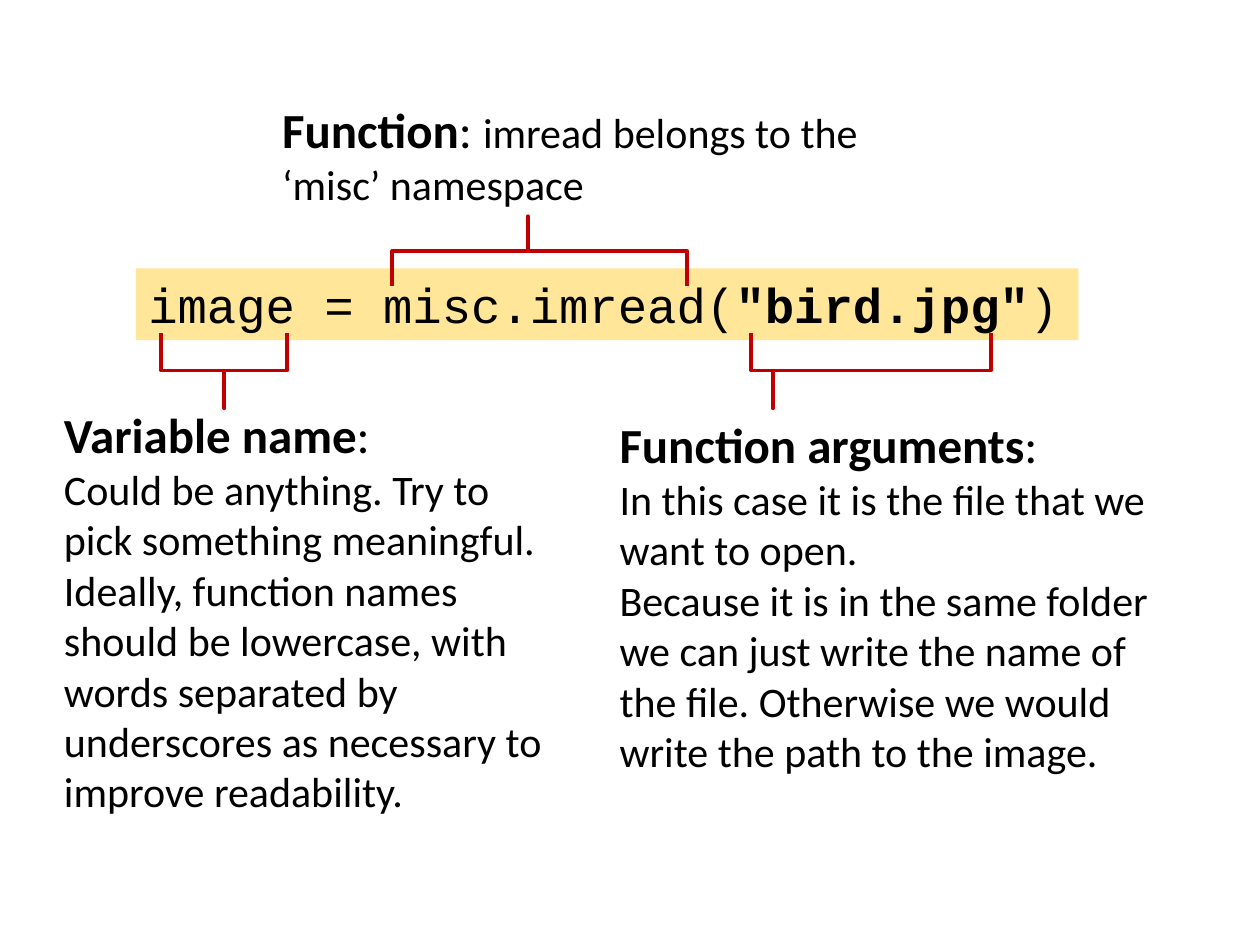
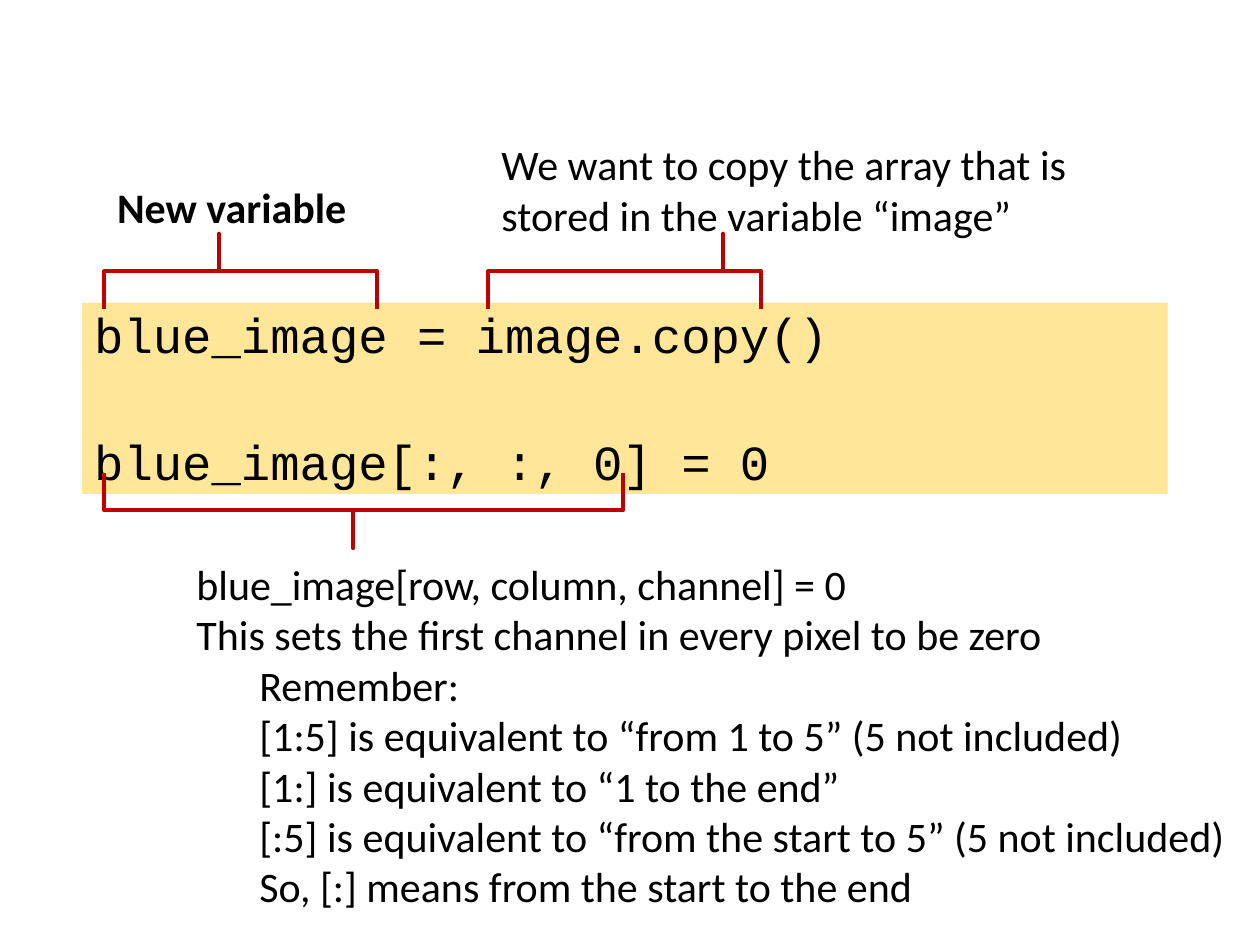
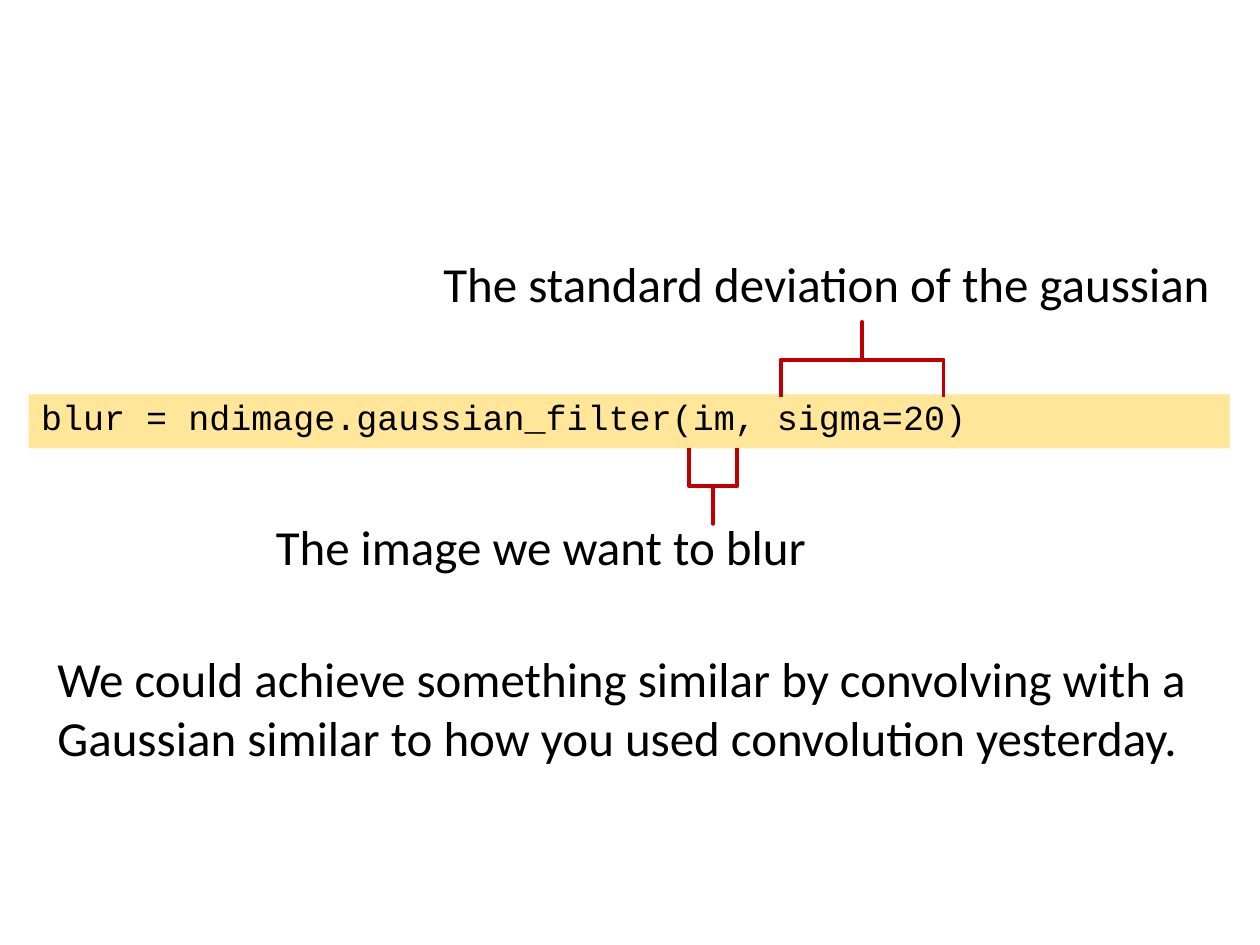
from dataclasses import dataclass

from pptx import Presentation
from pptx.dml.color import RGBColor
from pptx.enum.shapes import MSO_SHAPE
from pptx.enum.text import MSO_ANCHOR, PP_ALIGN
from pptx.util import Cm, Pt

RECT, BRACE = MSO_SHAPE.RECTANGLE, MSO_SHAPE.RIGHT_BRACE
LEFT, TOP = PP_ALIGN.LEFT, MSO_ANCHOR.TOP


@dataclass(frozen=True)
class Theme:
    ink: RGBColor = RGBColor(0x00, 0x00, 0x00)
    band: RGBColor = RGBColor(0xFF, 0xE6, 0x99)
    bracket: RGBColor = RGBColor(0xC0, 0x00, 0x00)
    body_font: str = "Calibri"
    code_font: str = "Courier New"
    large: int = 28
    medium: int = 24
    small: int = 20
    line: float = 2.25
    bracket_height: float = 1.52


T = Theme()


def head(text, tail=":"):
    return [(text, T.large, True), (tail, T.large, False)]


def plain(text, size=T.medium, bold=False):
    return [(text, size, bold)]


# Boxes are (left, top, width, height) and brackets (left, top, width, stem, opens down), all in cm.
SLIDES = [
    dict(
        code=dict(
            box=(2.74, 5.41, 19, 1.45), wrap=False,
            paras=[[("image = misc.imread(", T.large, False), ('"bird.jpg"', T.large, True),
                    (")", T.large, False)]]),
        notes=[
            dict(box=(1.04, 8.03, 10.46, 8.64), paras=[
                head("Variable name"),
                plain("Could be anything. Try to pick something meaningful. Ideally, function "
                      "names should be lowercase, with words separated by underscores as "
                      "necessary to improve readability.")]),
            dict(box=(5.44, 1.88, 12.12, 2.49), paras=[
                head("Function", ": ") + plain("imread belongs to the ‘misc’ namespace")]),
            dict(box=(12.24, 8.23, 11.18, 7.62), paras=[
                head("Function arguments"),
                plain("In this case it is the file that we want to open."),
                plain("Because it is in the same folder we can just write the name of the file. "
                      "Otherwise we would write the path to the image.")]),
        ],
        brackets=[(3.25, 6.71, 2.54, 0.5, False), (7.91, 4.36, 5.94, 0.46, True, 1.4),
                  (15.14, 6.71, 4.83, 0.09, False)]),
    dict(
        code=dict(
            box=(1.65, 6.1, 21.89, 3.86), top=0.03, gap=39,
            paras=[plain("blue_image = image.copy()", T.large),
                   plain("blue_image[:, :, 0] = 0", T.large)]),
        notes=[
            dict(box=(3.71, 11.13, 21.41, 7.44), wrap=False, indent_from=2, paras=[
                plain("blue_image[row, column, channel] = 0"),
                plain("This sets the first channel in every pixel to be zero"),
                plain("Remember:"),
                plain("[1:5] is equivalent to “from 1 to 5” (5 not included)"),
                plain("[1:] is equivalent to “1 to the end”"),
                plain("[:5] is equivalent to “from the start to 5” (5 not included)"),
                plain("So, [:] means from the start to the end")]),
            dict(box=(2.11, 3.53, 5.18, 1.27), wrap=False,
                 paras=[plain("New variable", bold=True)]),
            dict(box=(9.86, 2.67, 13.61, 2.31), paras=[
                plain("We want to copy the array that is stored in the variable “image”")]),
        ],
        brackets=[(2.1, 4.71, 5.51, 0.42, True), (2.1, 9.53, 10.46, 0.48, False),
                  (9.84, 4.71, 5.51, 0.86, True)]),
    dict(
        code=dict(
            box=(0.58, 7.95, 24.21, 1.09), top=0.03,
            paras=[plain("blur = ndimage.gaussian_filter(im, sigma=20)", T.small)]),
        notes=[
            dict(box=(8.69, 4.98, 16.15, 1.45),
                 paras=[plain("The standard deviation of the gaussian", T.large)]),
            dict(box=(5.31, 10.29, 16.15, 1.45),
                 paras=[plain("The image we want to blur", T.large)]),
            dict(box=(0.91, 12.95, 23.72, 2.64), paras=[
                plain("We could achieve something similar by convolving with a Gaussian similar "
                      "to how you used convolution yesterday.", T.large)]),
        ],
        brackets=[(15.74, 6.49, 3.28, 0.5, True), (13.89, 9.04, 0.97, 0.5, False)]),
]


def add_text(s, paras, *, box, font=T.body_font, fill=None, wrap=True, top=0.13, gap=0,
             indent_from=None):
    dims = [Cm(v) for v in box]
    if fill is None:
        sp = s.shapes.add_textbox(*dims)
    else:
        sp = s.shapes.add_shape(RECT, *dims)
        sp.shadow.inherit = False
        sp.fill.solid()
        sp.fill.fore_color.rgb = fill
        sp.line.fill.background()
    tf = sp.text_frame
    tf.word_wrap = wrap
    tf.vertical_anchor = TOP
    tf.margin_top = Cm(top)
    for i, runs in enumerate(paras):
        p = tf.paragraphs[0] if i == 0 else tf.add_paragraph()
        p.alignment = LEFT
        if i and gap:
            p.space_before = Pt(gap)
        if indent_from is not None and i >= indent_from:
            p.level = 1
            pPr = p._p.get_or_add_pPr()
            pPr.set("marL", str(Cm(1.27)))
            pPr.set("indent", "0")
        for text, size, bold in runs:
            r = p.add_run()
            r.text = text
            r.font.name = font
            r.font.size = Pt(size)
            r.font.bold = bold
            r.font.color.rgb = T.ink


def add_bracket(s, left, top, width, stem, opens_down, height=T.bracket_height):
    x = left + (width - height) / 2
    y = top + (height - width) / 2
    sp = s.shapes.add_shape(BRACE, Cm(x), Cm(y), Cm(height), Cm(width))
    sp.rotation = 270 if opens_down else 90
    sp.adjustments[0] = 0
    sp.adjustments[1] = stem if opens_down else 1 - stem
    sp.shadow.inherit = False
    sp.fill.background()
    sp.line.color.rgb = T.bracket
    sp.line.width = Pt(T.line)


def main():
    prs = Presentation()
    prs.slide_width, prs.slide_height = Cm(25.4), Cm(19.05)
    for content in SLIDES:
        s = prs.slides.add_slide(prs.slide_layouts[6])
        add_text(s, font=T.code_font, fill=T.band, **content["code"])
        for note in content["notes"]:
            add_text(s, **note)
        for bracket in content["brackets"]:
            add_bracket(s, *bracket)
    prs.save("out.pptx")


if __name__ == "__main__":
    main()
